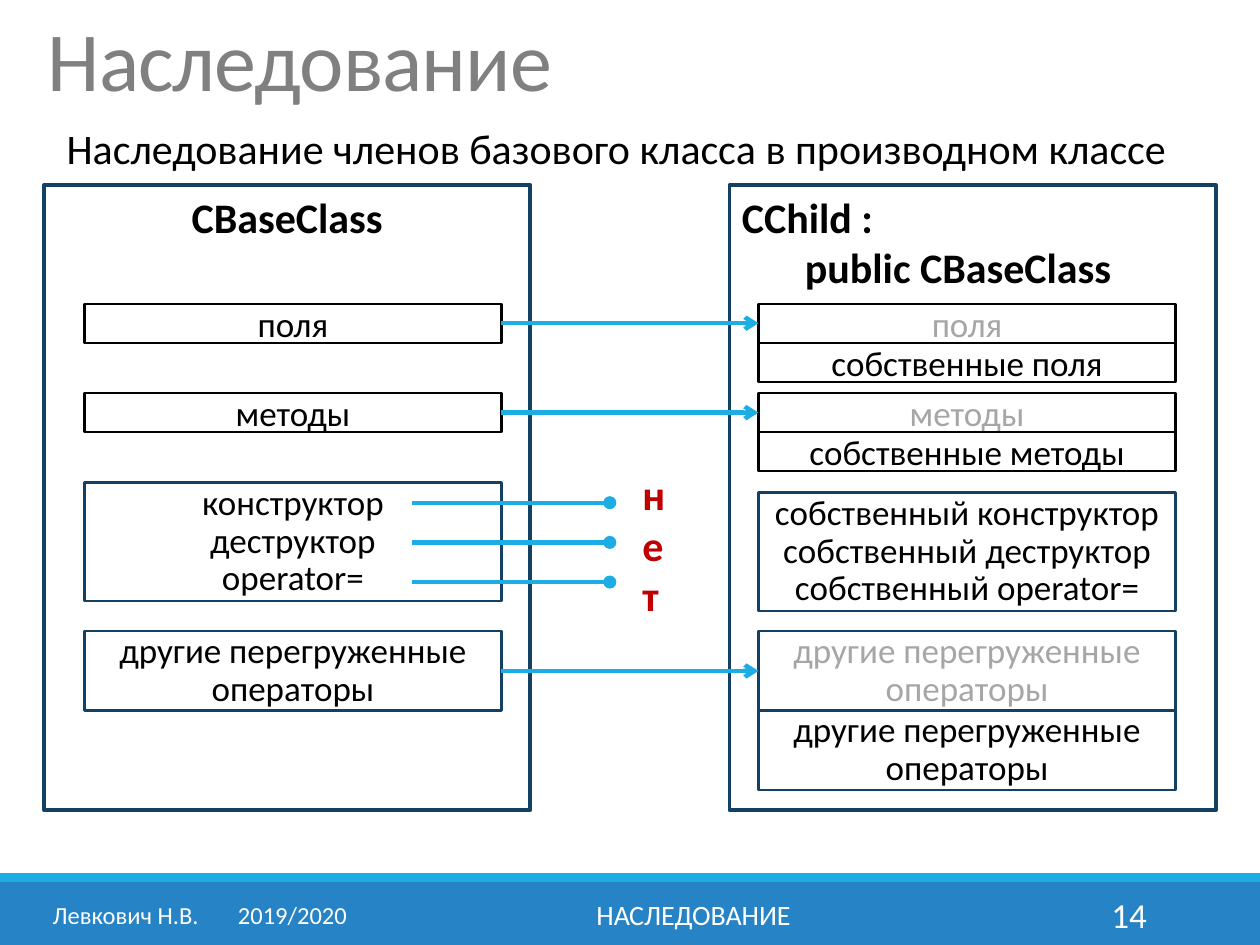
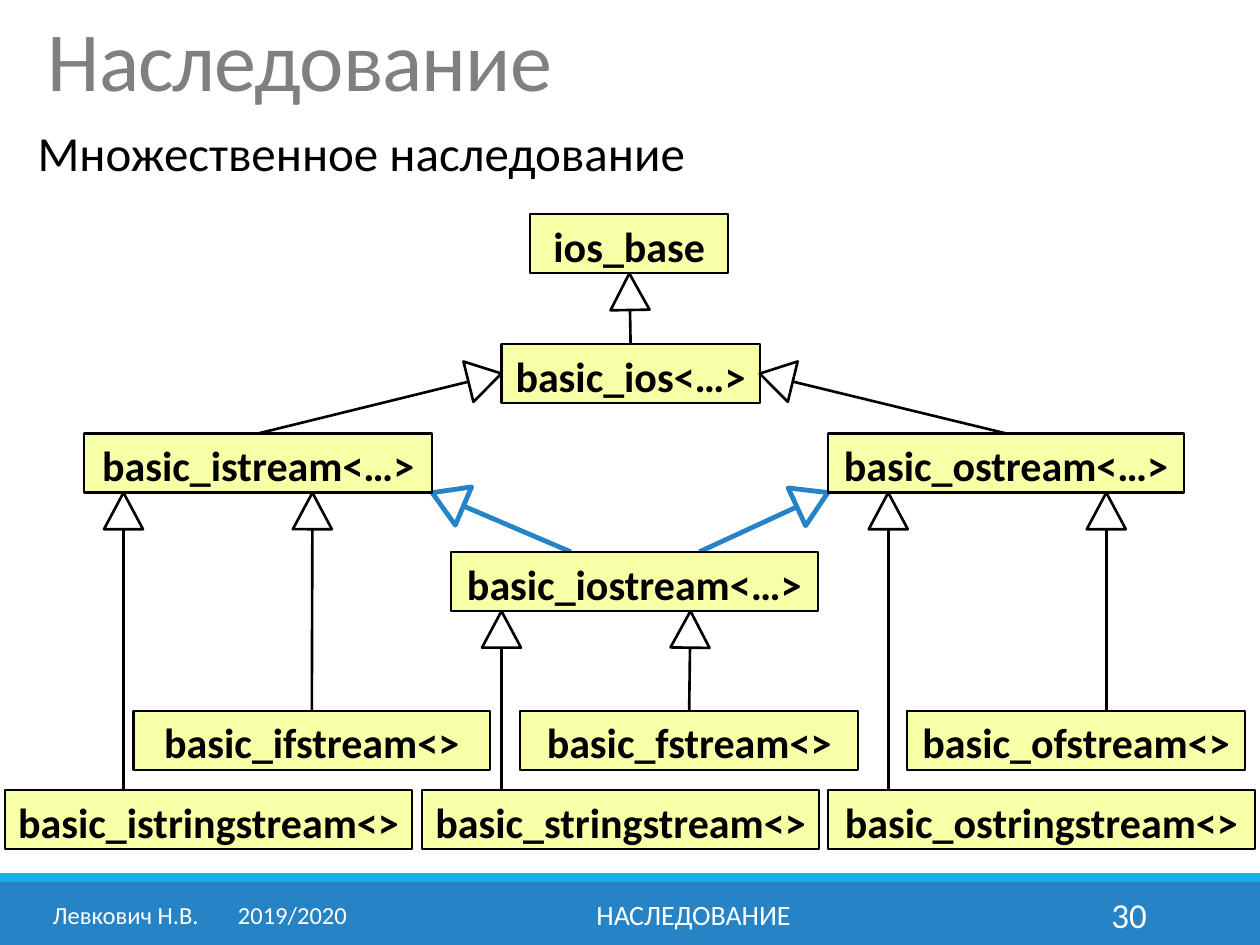
"""Build two lecture slides on class inheritance."""
import collections
import dataclasses
import math

import lxml.etree
import pptx
import pptx.dml.color
import pptx.enum.shapes
import pptx.enum.text
import pptx.oxml.ns
import pptx.util

Inches = pptx.util.Inches
Pt = pptx.util.Pt
ALIGN = pptx.enum.text.PP_ALIGN
ANCHOR = pptx.enum.text.MSO_ANCHOR
SHAPE = pptx.enum.shapes.MSO_SHAPE
TOP, LEFT, BOTTOM, RIGHT = range(4)


@dataclasses.dataclass(frozen=True)
class Theme:
    """Colours, font and type sizes of the deck."""
    font: str = "Calibri"
    black: str = "000000"
    white: str = "FFFFFF"
    title_gray: str = "808080"
    inherited_gray: str = "A6A6A6"
    red: str = "C00000"
    blue: str = "2683C6"
    sky: str = "1CADE4"
    navy: str = "134163"
    yellow: str = "F7FFA7"
    title: int = 48
    lead: int = 28
    heading: int = 24
    member: int = 20
    footer: int = 16
    author: int = 14


THEME = Theme()
Joint = collections.namedtuple("Joint", "x y box site", defaults=(None, None))


def rgb(color):
    """Turn a hexadecimal string into a colour."""
    return pptx.dml.color.RGBColor.from_string(color)


def add_xml(parent, tag, **attributes):
    """Append a drawing element to its parent."""
    name = pptx.oxml.ns.qn(tag)
    return lxml.etree.SubElement(parent, name, **attributes)


def write(box, lines, size, color=THEME.black, bold=False, align=ALIGN.LEFT,
          anchor=ANCHOR.TOP, spacing=None, tab=None, wrap=True):
    """Fill a box with one paragraph per line and return the paragraphs."""
    frame = box.text_frame
    frame.word_wrap = wrap
    frame.vertical_anchor = anchor
    frame.text = "\n".join(lines)
    for para in frame.paragraphs:
        para.alignment = align
        if spacing:
            para.line_spacing = spacing
        if tab:
            stops = add_xml(para._p.get_or_add_pPr(), "a:tabLst")
            add_xml(stops, "a:tab", pos=str(Inches(tab)), algn="l")
        para.font.name = THEME.font
        para.font.size = Pt(size)
        para.font.bold = bold
        para.font.color.rgb = rgb(color)
    return frame.paragraphs


def add_text(page, place, text, size, **style):
    """Add a text box with one paragraph."""
    box = page.shapes.add_textbox(*map(Inches, place))
    return write(box, [text], size, **style)[0]


def add_figure(page, place, fill=None, line=None, width=1.25, kind=SHAPE.RECTANGLE):
    """Add a preset shape with optional fill and outline."""
    figure = page.shapes.add_shape(kind, *map(Inches, place))
    figure.shadow.inherit = False
    if fill:
        figure.fill.solid()
        figure.fill.fore_color.rgb = rgb(fill)
    else:
        figure.fill.background()
    if line:
        figure.line.color.rgb = rgb(line)
        figure.line.width = Pt(width)
    else:
        figure.line.fill.background()
    return figure


def side(box, site):
    """Return the joint at the middle of a box side."""
    across = {TOP: 0.5, LEFT: 0, BOTTOM: 0.5, RIGHT: 1}[site]
    down = {TOP: 0, LEFT: 0.5, BOTTOM: 1, RIGHT: 0.5}[site]
    x = (box.left + across * box.width) / Inches(1)
    y = (box.top + down * box.height) / Inches(1)
    return Joint(x, y, box, site)


def add_link(page, start, end, color, width, head=None):
    """Draw a straight connector between two joints."""
    ends = map(Inches, (start.x, start.y, end.x, end.y))
    link = page.shapes.add_connector(pptx.enum.shapes.MSO_CONNECTOR.STRAIGHT, *ends)
    if start.box is not None:
        link.begin_connect(start.box, start.site)
    if end.box is not None:
        link.end_connect(end.box, end.site)
    link.line.color.rgb = rgb(color)
    link.line.width = Pt(width)
    properties = link._element.spPr
    if head:
        add_xml(properties.find(pptx.oxml.ns.qn("a:ln")), "a:tailEnd", type=head)
    add_xml(properties, "a:effectLst")


def add_generalization(page, start, tip, color=THEME.black, width=1.5):
    """Draw a line to a parent class ending in a hollow triangle."""
    add_link(page, start, tip, color, width)
    angle = math.atan2(tip.x - start.x, start.y - tip.y)
    slanted = abs(math.sin(angle)) > 0.1
    base, height = (0.33, 0.27) if slanted else (0.31, 0.29)
    left = tip.x - math.sin(angle) * height / 2 - base / 2
    top = tip.y + math.cos(angle) * height / 2 - height / 2
    head = add_figure(page, (left, top, base, height), THEME.white, color, width,
                      SHAPE.ISOSCELES_TRIANGLE)
    head.rotation = math.degrees(angle)


def add_page(deck, number):
    """Add a page with the shared title, bands and footer."""
    page = deck.slides.add_slide(deck.slide_layouts[6])
    add_figure(page, (0, 7, 10, 0.5), THEME.blue)
    add_figure(page, (0, 6.93, 10, 0.07), THEME.sky)
    title = add_text(page, (0.28, 0.13, 9.45, 0.79), "Наследование", THEME.title,
                     color=THEME.title_gray, anchor=ANCHOR.MIDDLE, spacing=0.85)
    title.runs[0]._r.get_or_add_rPr().set("spc", "-50")
    footer = (
        (0.32, 2.61, "Левкович Н.В.\t2019/2020", THEME.author, ALIGN.LEFT, 1.47),
        (3.02, 4.97, "НАСЛЕДОВАНИЕ", THEME.footer, ALIGN.CENTER, None),
        (8.12, 1.08, str(number), THEME.member, ALIGN.RIGHT, None),
    )
    for left, width, text, size, align, tab in footer:
        add_text(page, (left, 7.06, width, 0.4), text, size, color=THEME.white,
                 align=align, anchor=ANCHOR.MIDDLE, tab=tab)
    return page


def add_class_frame(page, left, lines, align):
    """Add the tall outline of a class with its heading."""
    frame = add_figure(page, (left, 1.47, 3.86, 4.96), line=THEME.navy, width=2.25)
    return write(frame, lines, THEME.heading, bold=True, align=align)


def add_member(page, left, top, height, lines, color=THEME.black):
    """Add a box listing class members."""
    single = height < 0.5
    box = add_figure(page, (left, top, 3.31, height),
                     line=THEME.black if single else THEME.navy)
    write(box, lines, THEME.member, color, align=ALIGN.CENTER,
          anchor=ANCHOR.MIDDLE, spacing=None if single else 0.9)
    return box


def add_stream_class(page, left, top, width, name, tight=False):
    """Add a yellow class box, with a tightened underscore if asked."""
    box = add_figure(page, (left, top, width, 0.47), THEME.yellow, THEME.black)
    para = write(box, [name], THEME.heading, bold=True, align=ALIGN.CENTER, wrap=False)[0]
    if tight:
        prefix, suffix = name.split("_")
        para.runs[0].text = prefix
        for text in ("_", suffix):
            para.add_run().text = text
        para.runs[1]._r.get_or_add_rPr().set("spc", "-300")
    return box


def build_members_page(deck):
    """Show which base class members a child class inherits."""
    page = add_page(deck, 14)
    add_text(page, (0.43, 0.92, 9.29, 0.5),
             "Наследование членов базового класса в производном классе", THEME.heading)
    add_class_frame(page, 0.35, ["CBaseClass"], ALIGN.CENTER)
    heading = add_class_frame(page, 5.79, ["CChild :", "public CBaseClass"], ALIGN.LEFT)
    heading[1]._p.get_or_add_pPr().set("marL", str(Inches(0.5)))

    base_left, child_left = 0.67, 6.02
    operators = "другие перегруженные операторы"
    inherited = (
        (2.41, 0.31, "поля", "собственные поля"),
        (3.12, 0.31, "методы", "собственные методы"),
        (5.01, 0.63, operators, operators),
    )
    for top, height, name, own_name in inherited:
        base = add_member(page, base_left, top, height, [name])
        child = add_member(page, child_left, top, height, [name], THEME.inherited_gray)
        add_member(page, child_left, top + height, height, [own_name])
        add_link(page, side(base, RIGHT), side(child, LEFT), THEME.sky, 2.5, "arrow")

    special = ["конструктор", "деструктор", "operator="]
    add_member(page, base_left, 3.83, 0.94, special)
    add_member(page, child_left, 3.91, 0.94, [f"собственный {name}" for name in special])
    for row in range(len(special)):
        y = 3.99 + row * 0.315
        add_link(page, Joint(3.27, y), Joint(4.84, y), THEME.sky, 2.5, "oval")
    add_text(page, (5, 3.67, 0.39, 1.31), "нет", THEME.heading, color=THEME.red, bold=True)


def build_streams_page(deck):
    """Show the class hierarchy of the stream library."""
    page = add_page(deck, 30)
    add_text(page, (0.2, 0.92, 9.21, 0.57), "Множественное наследование", THEME.lead)
    for start, tip in ((4.53, 3.43), (5.55, 6.57)):
        add_generalization(page, Joint(start, 4.38), Joint(tip, 3.91), THEME.blue, 2.75)

    ios_base = add_stream_class(page, 4.21, 1.7, 1.57, "ios_base")
    ios = add_stream_class(page, 3.98, 2.73, 2.05, "basic_ios<…>")
    istream = add_stream_class(page, 0.67, 3.44, 2.76, "basic_istream<…>")
    ostream = add_stream_class(page, 6.57, 3.44, 2.83, "basic_ostream<…>")
    add_stream_class(page, 3.58, 4.38, 2.91, "basic_iostream<…>")
    ifstream = add_stream_class(page, 1.06, 5.64, 2.83, "basic_ifstream<>")
    fstream = add_stream_class(page, 4.13, 5.64, 2.68, "basic_fstream<>")
    add_stream_class(page, 7.2, 5.64, 2.68, "basic_ofstream<>")
    for left, width, name in ((0.04, 3.23, "basic_istringstream<>"),
                              (3.35, 3.15, "basic_stringstream<>"),
                              (6.57, 3.39, "basic_ostringstream<>")):
        add_stream_class(page, left, 6.27, width, name, tight=True)

    generalizations = (
        (side(ios, TOP), side(ios_base, BOTTOM)),
        (side(istream, TOP), side(ios, LEFT)),
        (side(ostream, TOP), side(ios, RIGHT)),
        (side(ifstream, TOP), Joint(2.48, 3.91)),
        (side(fstream, TOP), Joint(5.48, 4.85)),
        (Joint(8.78, 5.64), Joint(8.78, 3.91)),
        (Joint(0.98, 6.27), Joint(0.98, 3.91)),
        (Joint(3.98, 6.27), Joint(3.98, 4.85)),
        (Joint(7.05, 6.27), Joint(7.05, 3.91)),
    )
    for start, tip in generalizations:
        add_generalization(page, start, tip)


def main():
    """Build and save the deck."""
    deck = pptx.Presentation()
    deck.slide_width, deck.slide_height = Inches(10), Inches(7.5)
    build_members_page(deck)
    build_streams_page(deck)
    deck.save("out.pptx")


if __name__ == "__main__":
    main()
